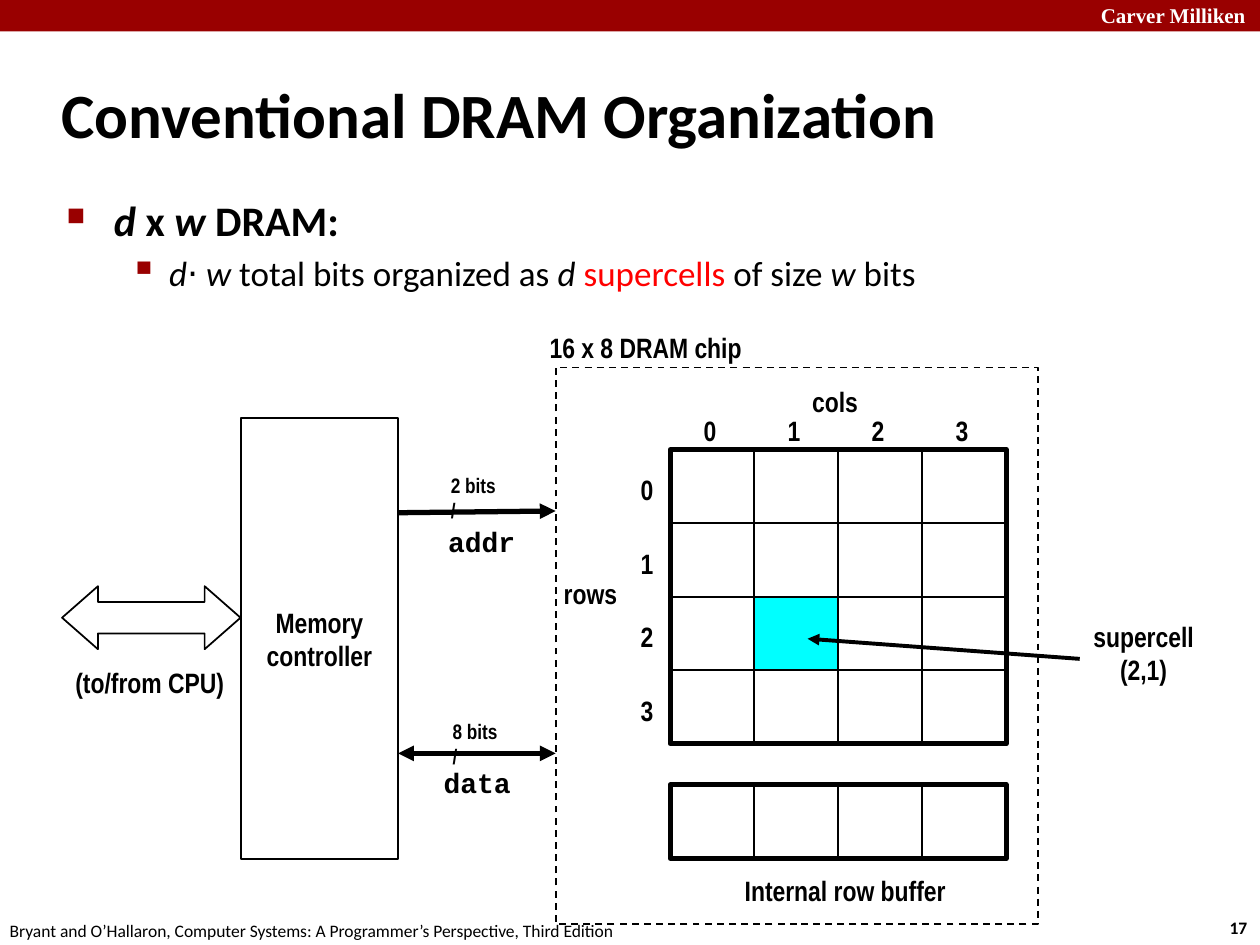
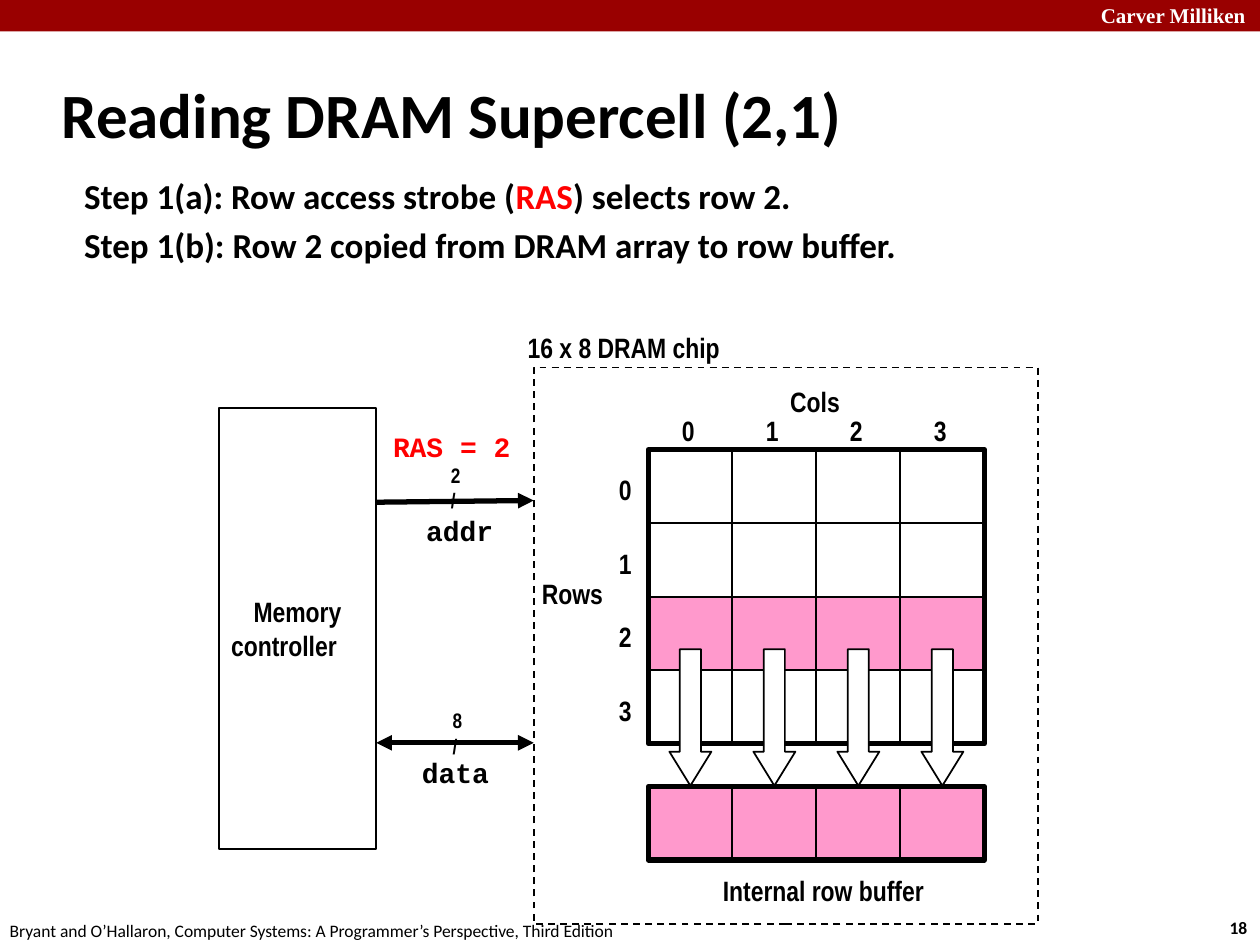
from dataclasses import dataclass
from typing import NamedTuple, Optional

from lxml import etree
from pptx import Presentation
from pptx.dml.color import RGBColor
from pptx.enum.dml import MSO_LINE
from pptx.enum.shapes import MSO_CONNECTOR, MSO_SHAPE
from pptx.enum.text import MSO_ANCHOR, MSO_AUTO_SIZE, PP_ALIGN
from pptx.oxml.ns import qn
from pptx.util import Pt

RECT, DOWN_ARROW, BUS_ARROW = MSO_SHAPE.RECTANGLE, MSO_SHAPE.DOWN_ARROW, MSO_SHAPE.LEFT_RIGHT_ARROW
STRAIGHT, DASH = MSO_CONNECTOR.STRAIGHT, MSO_LINE.DASH
LEFT, CENTER = PP_ALIGN.LEFT, PP_ALIGN.CENTER
TOP, MIDDLE = MSO_ANCHOR.TOP, MSO_ANCHOR.MIDDLE
NO_FIT, GROW = MSO_AUTO_SIZE.NONE, MSO_AUTO_SIZE.SHAPE_TO_FIT_TEXT

BLACK, WHITE, RED, CRIMSON = "000000", "FFFFFF", "FF0000", "990000"
CYAN, PINK = "00FFFF", "FF99CC"
SANS, NARROW, MONO, SERIF = "Calibri", "Arial Narrow", "Courier New", "Times New Roman"

COUNT, CELL_W, CELL_H = 4, 48, 42
GRID_TOP, CHIP_TOP, CHIP_RIGHT, CHIP_H = 257, 210, 593, 318
CONTROLLER_W, CONTROLLER_H = 90, 252


class Run(NamedTuple):
    """A piece of text with its own colour and slant."""
    text: str
    color: str = BLACK
    italic: bool = False


class Box(NamedTuple):
    """A rectangle in points."""
    x: float
    y: float
    w: float
    h: float


@dataclass
class Style:
    """The look shared by all runs of a paragraph."""
    font: str = NARROW
    size: float = 16
    bold: bool = True


@dataclass
class Item:
    """A body paragraph with its hanging indent and bullet."""
    runs: list[Run]
    style: Style
    margin: float = 27
    hang: float = 27
    bullet: str = ""
    bullet_pct: int = 100


@dataclass
class Diagram:
    """What varies between the two drawings of the memory system."""
    left: float
    lift: float
    cols: str
    rows: str
    bits: tuple[str, str]
    controller_align: PP_ALIGN
    fills: dict[tuple[int, int], str]
    buffer_top: float
    buffer_fill: str = WHITE

    @property
    def chip_left(self) -> float:
        """Left edge of the chip."""
        return self.left - 65.5

    @property
    def controller(self) -> Box:
        """Place of the memory controller."""
        x = self.chip_left - 2 * CONTROLLER_W
        return Box(x, 239 - self.lift, CONTROLLER_W, CONTROLLER_H)


LABEL, CODE, SMALL = Style(), Style(MONO), Style(size=12)


def rgb(color: str) -> RGBColor:
    """Turn a hex string into a colour."""
    return RGBColor.from_string(color)


def pts(box: Box) -> list[Pt]:
    """Turn a box into lengths."""
    return [Pt(v) for v in box]


def write(p, runs: list[Run], style: Style, align=LEFT) -> None:
    """Add runs to a paragraph."""
    p.alignment = align
    for run in runs:
        r = p.add_run()
        r.text = run.text
        r.font.name, r.font.size = style.font, Pt(style.size)
        r.font.bold, r.font.italic = style.bold, run.italic
        r.font.color.rgb = rgb(run.color)


def paragraphs(tf, count: int) -> list:
    """Return the first paragraph and as many new ones as needed."""
    return [tf.paragraphs[0]] + [tf.add_paragraph() for _ in range(count - 1)]


def indent(p, margin: float, hang: float) -> None:
    """Give a paragraph a hanging indent."""
    pPr = p._p.get_or_add_pPr()
    pPr.set("marL", str(Pt(margin)))
    pPr.set("indent", str(Pt(-hang)))


def label(s, box: Box, lines: list[str], style: Style = LABEL, align=LEFT,
          color: str = BLACK, anchor=MIDDLE) -> None:
    """Add an unwrapped text box, one paragraph a line."""
    tf = s.shapes.add_textbox(*pts(box)).text_frame
    tf.word_wrap, tf.auto_size, tf.vertical_anchor = False, GROW, anchor
    for p, line in zip(paragraphs(tf, len(lines)), lines):
        write(p, [Run(line, color)], style, align)


def shape(s, box: Box, kind=RECT, fill: Optional[str] = WHITE,
          line: Optional[str] = BLACK, width: float = 1, adj: tuple[float, ...] = ()):
    """Add a preset shape without shadow."""
    sp = s.shapes.add_shape(kind, *pts(box))
    sp.shadow.inherit = False
    for i, value in enumerate(adj):
        sp.adjustments[i] = value
    for part, color in ((sp.fill, fill), (sp.line.fill, line)):
        if color:
            part.solid()
            part.fore_color.rgb = rgb(color)
        else:
            part.background()
    if line:
        sp.line.width = Pt(width)
    return sp


def arrow(s, x1: float, y1: float, x2: float, y2: float, width: float = 3,
          ends: tuple[str, ...] = ("tailEnd",)) -> None:
    """Add a straight line with arrowheads."""
    c = s.shapes.add_connector(STRAIGHT, Pt(x1), Pt(y1), Pt(x2), Pt(y2))
    c.line.color.rgb, c.line.width = rgb(BLACK), Pt(width)
    spPr = c._element.spPr
    for end in ends:
        etree.SubElement(spPr.find(qn("a:ln")), qn(f"a:{end}")).set("type", "triangle")
    etree.SubElement(spPr, qn("a:effectLst"))


def base_slide(prs, title: str, number: int):
    """Add a slide with title, band and footers."""
    s = prs.slides.add_slide(prs.slide_layouts[5])
    sp = s.shapes.title
    sp.left, sp.top, sp.width, sp.height = pts(Box(28, 34.5, 598, 60))
    tf = sp.text_frame
    tf.vertical_anchor, tf.auto_size = MIDDLE, NO_FIT
    write(tf.paragraphs[0], [Run(title)], Style(SANS, 36))
    indent(tf.paragraphs[0], 9, 9)
    shape(s, Box(0, 0, 720, 18), fill=CRIMSON, line=None)
    label(s, Box(622, -2, 103, 22), ["Carver Milliken"], Style(SERIF, 12), color=WHITE, anchor=TOP)
    label(s, Box(695.5, 520.5, 27, 19.5), [str(number)], Style(SANS, 10), anchor=TOP)
    source = "Bryant and O’Hallaron, Computer Systems: A Programmer’s Perspective, Third Edition"
    label(s, Box(-1.5, 522, 366, 19.5), [source], Style(SANS, 10, False), anchor=TOP)
    return s


def body(s, box: Box, items: list[Item]) -> None:
    """Add the body text."""
    tf = s.shapes.add_textbox(*pts(box)).text_frame
    tf.word_wrap = True
    for p, item in zip(paragraphs(tf, len(items)), items):
        write(p, item.runs, item.style)
        p.space_before = Pt(item.style.size * 0.2)
        indent(p, item.margin, item.hang)
        if item.bullet:
            pPr = p._p.get_or_add_pPr()
            color = etree.SubElement(pPr, qn("a:buClr"))
            etree.SubElement(color, qn("a:srgbClr")).set("val", CRIMSON)
            etree.SubElement(pPr, qn("a:buSzPct")).set("val", str(item.bullet_pct * 1000))
            etree.SubElement(pPr, qn("a:buChar")).set("char", item.bullet)


def draw_chip(s, d: Diagram) -> None:
    """Draw the chip with its supercell grid and row buffer."""
    shape(s, Box(d.chip_left, CHIP_TOP, CHIP_RIGHT - d.chip_left, CHIP_H),
          fill=None).line.dash_style = DASH
    label(s, Box(d.left - 76, 185, 149, 26.5), ["16 x 8 DRAM chip"])
    label(s, Box(d.left + 74, 216, 45, 26.5), [d.cols])
    label(s, Box(d.left - 68, 326, 51, 26.5), [d.rows])
    label(s, Box(d.left + 34.5, 495.5, 131, 26.5), ["Internal row buffer"], align=CENTER)
    for i in range(COUNT):
        x, y = d.left + i * CELL_W, GRID_TOP + i * CELL_H
        label(s, Box(x + 12, 232.5, 23, 26.5), [str(i)])
        label(s, Box(d.left - 24, y + 9.5, 23, 26.5), [str(i)])
        shape(s, Box(x, d.buffer_top, CELL_W, CELL_H), fill=d.buffer_fill)
        for col in range(COUNT):
            shape(s, Box(d.left + col * CELL_W, y, CELL_W, CELL_H),
                  fill=d.fills.get((i, col), WHITE))
    for y, rows in ((GRID_TOP, COUNT), (d.buffer_top, 1)):
        shape(s, Box(d.left, y, COUNT * CELL_W, rows * CELL_H), fill=None, width=3)


def draw_controller(s, d: Diagram) -> None:
    """Draw the memory controller and its two buses to the chip."""
    box = d.controller
    tf = shape(s, box).text_frame
    tf.word_wrap, tf.vertical_anchor = True, MIDDLE
    first, second = paragraphs(tf, 2)
    write(first, [Run("Memory")], LABEL, CENTER)
    write(second, [Run("controller")], LABEL, d.controller_align)
    start, addr_y, data_y = box.x + box.w, box.y + 54, box.y + 191.5
    arrow(s, start, addr_y, d.chip_left, addr_y - 1)
    arrow(s, start, data_y, d.chip_left, data_y, ends=("headEnd", "tailEnd"))
    label(s, Box(start + 21.5, addr_y + 3, 53, 26.5), ["addr"], CODE)
    label(s, Box(start + 19, data_y + 3.5, 53, 26.5), ["data"], CODE)
    for x, y, bits in zip((250.5, 251.5), (addr_y - 26.5, data_y - 23.5), d.bits):
        label(s, Box(x, y, 21 if len(bits) == 1 else 46, 36), [bits, "/"], SMALL)


def organization_slide(prs) -> None:
    """Build the slide on DRAM organization."""
    s = base_slide(prs, "Conventional DRAM Organization", 17)
    heading = [Run("d ", italic=True), Run("x "), Run("w", italic=True), Run(" DRAM:")]
    detail = [Run("d⋅ w", italic=True), Run(" total bits organized as "), Run("d ", italic=True),
              Run("supercells", RED), Run(" of size "), Run("w", italic=True), Run(" bits")]
    body(s, Box(31, 107.5, 622, 70), [
        Item(heading, Style(SANS, 24), bullet="■", bullet_pct=60),
        Item(detail, Style(SANS, 20, False), 58.5, 22.5, "▪", 110)])
    d = Diagram(383, 0, "cols", "rows", ("2 bits", "8 bits"), CENTER, {(2, 1): CYAN}, 448.5)
    draw_chip(s, d)
    draw_controller(s, d)
    shape(s, Box(35.5, 335, 102, 36), BUS_ARROW, adj=(0.5, 0.57))
    label(s, Box(36, 376.5, 101, 26.5), ["(to/from CPU)"])
    label(s, Box(617, 350, 73, 46), ["supercell", "(2,1)"], align=CENTER)
    arrow(s, 617, 376.5, 461.5, 365, 2.25)


def reading_slide(prs) -> None:
    """Build the slide on reading a supercell."""
    s = base_slide(prs, "Reading DRAM Supercell (2,1)", 18)
    steps = [[Run("Step 1(a): Row access strobe ("), Run("RAS", RED), Run(") selects row 2.")],
             [Run("Step 1(b): Row 2 copied from DRAM array to row buffer.")]]
    body(s, Box(41, 96, 643, 78), [Item(runs, Style(SANS, 20)) for runs in steps])
    row = {(2, col): PINK for col in range(COUNT)}
    d = Diagram(370.5, 6, "Cols", "Rows", ("2", "8"), LEFT, row, 449.5, PINK)
    draw_chip(s, d)
    draw_controller(s, d)
    label(s, Box(217.5, 242, 82, 26.5), ["RAS = 2"], CODE, color=RED)
    for i in range(COUNT):
        shape(s, Box(d.left + i * CELL_W + 12, 371, 24, 78), DOWN_ARROW, adj=(0.5, 0.81))


def main() -> None:
    """Build and save the presentation."""
    prs = Presentation()
    prs.slide_width, prs.slide_height = Pt(720), Pt(540)
    organization_slide(prs)
    reading_slide(prs)
    prs.save("out.pptx")


if __name__ == "__main__":
    main()
